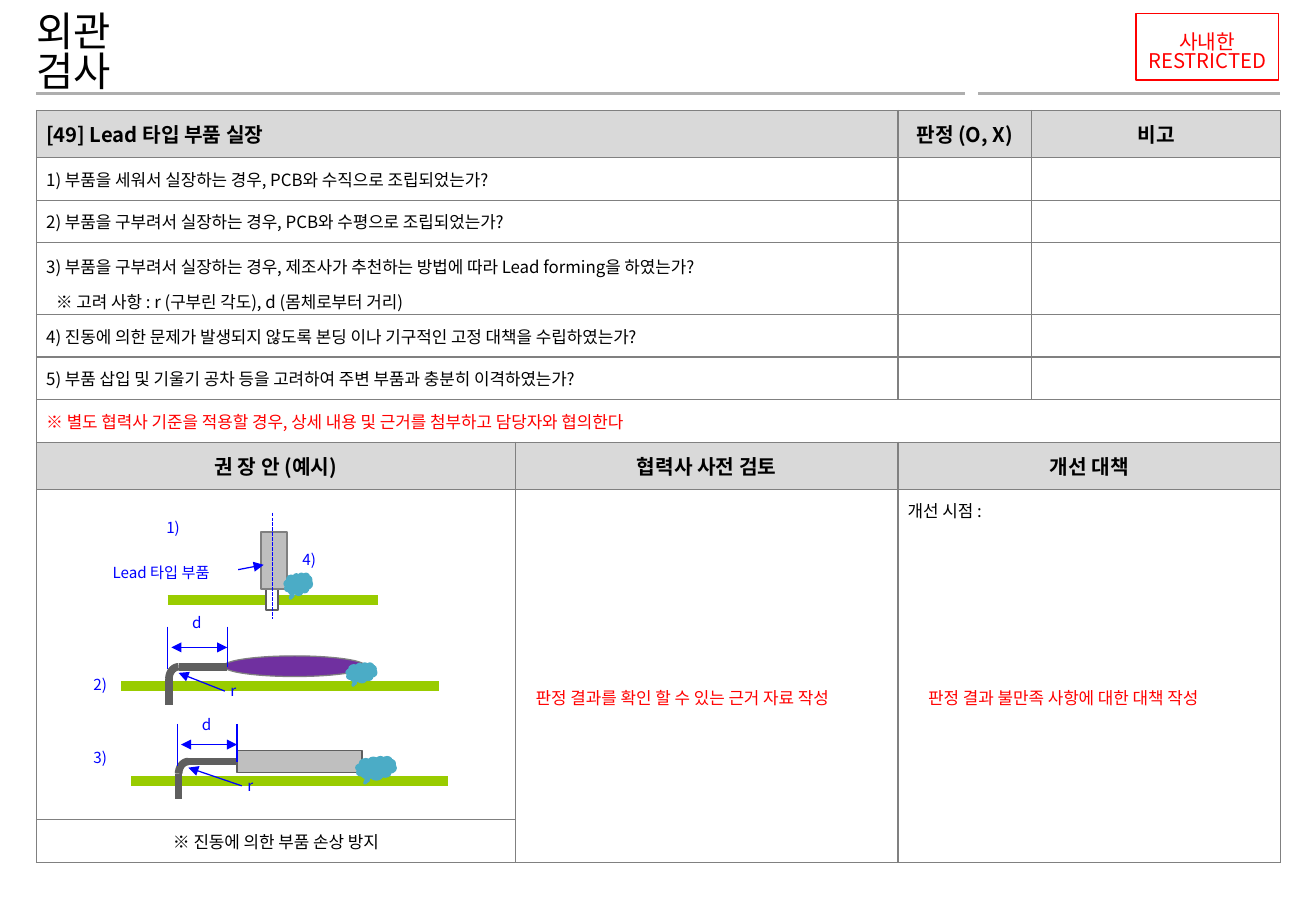
"""Builds the visual inspection checklist slide for lead-type parts."""
import math

from lxml import etree
from pptx import Presentation
from pptx.dml.color import RGBColor
from pptx.enum.dml import MSO_LINE
from pptx.enum.shapes import MSO_CONNECTOR, MSO_SHAPE
from pptx.enum.text import MSO_ANCHOR, PP_ALIGN
from pptx.oxml.ns import qn
from pptx.util import Inches, Pt

FONT = "Noto Sans CJK KR"
LEFT, CENTER = PP_ALIGN.LEFT, PP_ALIGN.CENTER
TOP, MIDDLE = MSO_ANCHOR.TOP, MSO_ANCHOR.MIDDLE
RECT, OVAL, CLOUD = MSO_SHAPE.RECTANGLE, MSO_SHAPE.OVAL, MSO_SHAPE.CLOUD_CALLOUT
STRAIGHT, DASH = MSO_CONNECTOR.STRAIGHT, MSO_LINE.SQUARE_DOT
C = {"black": "000000", "white": "FFFFFF", "red": "FF0000", "blue": "0000FF",
     "head": "D9D9D9", "border": "808080", "rule": "AEAEAE", "part": "BFBFBF",
     "lead": "5F5F5F", "pcb": "99CC00", "purple": "7030A0", "bond": "4BACC6"}

COLS = [3.94, 3.15, 1.1, 2.05]
ROWS = [0.39, 0.35, 0.35, 0.59, 0.35, 0.35, 0.35, 0.39, 2.72, 0.35]
MERGES = [((r, 0), (r, 1)) for r in range(6)] + [
    ((6, 0), (6, 3)), ((7, 2), (7, 3)), ((8, 1), (9, 1)), ((8, 2), (9, 3))]
HEADINGS = {(0, 0): "[49] Lead 타입 부품 실장", (0, 2): "판정 (O, X)", (0, 3): "비고",
            (7, 0): "권 장 안 (예시)", (7, 1): "협력사 사전 검토", (7, 2): "개선 대책"}
CHECKS = {
    1: "1) 부품을 세워서 실장하는 경우, PCB와 수직으로 조립되었는가?",
    2: "2) 부품을 구부려서 실장하는 경우, PCB와 수평으로 조립되었는가?",
    3: "3) 부품을 구부려서 실장하는 경우, 제조사가 추천하는 방법에 따라 Lead forming을 하였는가?\n"
       "※ 고려 사항 : r (구부린 각도), d (몸체로부터 거리)",
    4: "4) 진동에 의한 문제가 발생되지 않도록 본딩 이나 기구적인 고정 대책을 수립하였는가?",
    5: "5) 부품 삽입 및 기울기 공차 등을 고려하여 주변 부품과 충분히 이격하였는가?"}


def rgb(name):
    """Return the named colour."""
    return RGBColor.from_string(C[name])


def write(tf, text, size=10, color="black", bold=False, align=LEFT,
          spacing=None, before=0, indent=0):
    """Write one paragraph per line of text."""
    for i, line in enumerate(text.split("\n")):
        p = tf.add_paragraph() if i else tf.paragraphs[0]
        p.alignment = align
        if spacing:
            p.line_spacing = spacing
        if i:
            p.space_before = Pt(before)
            p._p.get_or_add_pPr().set("marL", str(Inches(indent)))
        r = p.add_run()
        r.text = line
        r.font.size, r.font.bold, r.font.name = Pt(size), bold, FONT
        r.font.color.rgb = rgb(color)
        ea = etree.SubElement(r._r.get_or_add_rPr(), qn("a:ea"))
        ea.set("typeface", FONT)


def frame(tf, insets=(0.1, 0.05, 0.1, 0.05), anchor=TOP, wrap=True):
    """Set the insets, anchor and wrapping of a text frame."""
    tf.margin_left, tf.margin_top, tf.margin_right, tf.margin_bottom = map(Inches, insets)
    tf.vertical_anchor, tf.word_wrap = anchor, wrap


def label(s, text, x, y, w, h, insets=(0.1, 0.05, 0.1, 0.05), wrap=True, **fmt):
    """Add a text box."""
    tf = s.shapes.add_textbox(*map(Inches, (x, y, w, h))).text_frame
    frame(tf, insets, wrap=wrap)
    write(tf, text, **fmt)


def mark(s, text, x, y, w=0.4):
    """Add a small centred blue label to the drawing."""
    label(s, text, x, y, w, 0.21, (0.06, 0.03, 0.06, 0.03),
          size=9, color="blue", align=CENTER)


def shape(s, kind, x, y, w, h, fill=None, line="border", width=1):
    """Add a flat preset shape."""
    sp = s.shapes.add_shape(kind, *map(Inches, (x, y, w, h)))
    sp.shadow.inherit = False
    if fill:
        sp.fill.solid()
        sp.fill.fore_color.rgb = rgb(fill)
    else:
        sp.fill.background()
    sp.line.color.rgb, sp.line.width = rgb(line), Pt(width)
    return sp


def bond(s, x, y, w, h):
    """Add a blob of bonding material."""
    sp = shape(s, CLOUD, x, y, w, h, "bond", "bond")
    sp.adjustments[0], sp.adjustments[1] = -0.28, 0.64


def line(s, x1, y1, x2, y2, color="blue", width=0.75, heads=(), dash=None):
    """Add a straight line with optional arrowheads."""
    cn = s.shapes.add_connector(STRAIGHT, *map(Inches, (x1, y1, x2, y2)))
    cn.line.color.rgb, cn.line.width = rgb(color), Pt(width)
    if dash:
        cn.line.dash_style = dash
    for end in heads:
        etree.SubElement(cn.line._get_or_add_ln(), qn(f"a:{end}")).set("type", "triangle")
    etree.SubElement(cn._element.spPr, qn("a:effectLst"))
    return cn


def bend(s, x, y, w, h):
    """Draw the quarter bend of a lead."""
    angles = [math.radians(a) for a in range(0, 91, 10)]
    points = [(Inches(x + w - w * math.sin(a)), Inches(y + h - h * math.cos(a)))
              for a in reversed(angles)]
    points = points[::-1]
    fb = s.shapes.build_freeform(*points[0])
    fb.add_line_segments(points[1:], close=False)
    sp = fb.convert_to_shape()
    sp.shadow.inherit = False
    sp.fill.background()
    sp.line.color.rgb, sp.line.width = rgb("lead"), Pt(4.5)


def bent_part(s, body, x, y, dim_y, d_y, r_x, glued=False):
    """Draw board, bent lead and dimensions d and r for a part body."""
    line(s, x - 0.39, y + 0.16, x + 2.22, y + 0.16, "pcb", 6)
    lead = line(s, x + 0.48, y, x + 0.08, y, "lead", 4.5)
    line(s, x, y + 0.1, x, y + 0.31, "lead", 4.5)
    bend(s, x, y, 0.08, 0.1)
    line(s, x - 0.01, dim_y, x - 0.01, dim_y + 0.35)
    edge = line(s, x + 0.48, dim_y, x + 0.48, y)
    if glued:
        lead.begin_connect(body, 1)
        edge.end_connect(body, 1)
    line(s, x + 0.02, dim_y + 0.17, x + 0.48, dim_y + 0.17, heads=("headEnd", "tailEnd"))
    mark(s, "d", x + 0.03, d_y)
    line(s, r_x + 0.13, y + 0.2, x + 0.08, y + 0.05, heads=("tailEnd",))
    mark(s, "r", r_x, y + 0.09)


def upright_part(s):
    """Draw the part that stands upright on its board."""
    line(s, 1.38, 4.94, 3.11, 4.94, "pcb", 6)
    shape(s, RECT, 2.19, 4.84, 0.1, 0.18, "white", "lead")
    shape(s, RECT, 2.15, 4.38, 0.21, 0.47, "part")
    mark(s, "Lead 타입 부품", 0.68, 4.61, 1.29)
    line(s, 1.96, 4.69, 2.17, 4.65, heads=("tailEnd",))
    line(s, 2.24, 4.22, 2.24, 5.1, dash=DASH)
    bond(s, 2.34, 4.72, 0.23, 0.18)


def style_cell(cell, fill=None):
    """Set borders, margins, fill and empty-text size of a cell."""
    tcPr = cell._tc.get_or_add_tcPr()
    for side in ("lnL", "lnR", "lnT", "lnB"):
        ln = etree.SubElement(tcPr, qn(f"a:{side}"), w=str(Pt(0.75)))
        solid = etree.SubElement(ln, qn("a:solidFill"))
        etree.SubElement(solid, qn("a:srgbClr"), val=C["border"])
    if fill:
        cell.fill.solid()
        cell.fill.fore_color.rgb = rgb(fill)
    else:
        cell.fill.background()
    cell.margin_left = cell.margin_right = Inches(0.08)
    cell.margin_top = cell.margin_bottom = Inches(0.07)
    cell.vertical_anchor = MIDDLE
    etree.SubElement(cell.text_frame.paragraphs[0]._p, qn("a:endParaRPr"), sz="1000")


def checklist(s):
    """Add the checklist table."""
    table = s.shapes.add_table(len(ROWS), len(COLS), *map(
        Inches, (0.3, 0.91, sum(COLS), sum(ROWS)))).table
    for col, w in zip(table.columns, COLS):
        col.width = Inches(w)
    for r, h in enumerate(ROWS):
        table.rows[r].height = Inches(h)
        for c in range(len(COLS)):
            style_cell(table.cell(r, c), "head" if r in (0, 7) else None)
    for start, end in MERGES:
        table.cell(*start).merge(table.cell(*end))
    for pos, text in HEADINGS.items():
        write(table.cell(*pos).text_frame, text, size=12, bold=True,
              align=LEFT if pos == (0, 0) else CENTER)
    for r, text in CHECKS.items():
        write(table.cell(r, 0).text_frame, text, before=6, indent=0.08)
    forming = table.cell(3, 0)
    forming.margin_top, forming.margin_bottom = Inches(0.08), Inches(0)
    write(table.cell(6, 0).text_frame,
          "※ 별도 협력사 기준을 적용할 경우, 상세 내용 및 근거를 첨부하고 담당자와 협의한다", color="red")
    write(table.cell(8, 2).text_frame, "개선 시점 :")
    table.cell(8, 2).vertical_anchor = TOP
    write(table.cell(9, 0).text_frame, "※ 진동에 의한 부품 손상 방지", align=CENTER)


def main():
    """Build and save the slide."""
    prs = Presentation()
    prs.slide_width, prs.slide_height = Inches(10.83), Inches(7.5)
    s = prs.slides.add_slide(prs.slide_layouts[5])
    title = s.shapes.title
    title.left, title.top, title.width, title.height = map(Inches, (0.3, 0.25, 1.2, 0.4))
    frame(title.text_frame, (0, 0, 0, 0), MIDDLE)
    write(title.text_frame, "외관 검사", size=24, spacing=0.82)
    for x1, x2 in ((0.3, 7.94), (8.05, 10.53)):
        line(s, x1, 0.77, x2, 0.77, "rule", 2)
    stamp = shape(s, RECT, 9.35, 0.11, 1.17, 0.55, line="red", width=0.75)
    frame(stamp.text_frame, (0.09, 0.11, 0.09, 0), MIDDLE, wrap=False)
    write(stamp.text_frame, "사내한\nRESTRICTED", size=12, color="red",
          align=CENTER, spacing=0.78)
    checklist(s)
    label(s, "판정 결과를 확인 할 수 있는 근거 자료 작성", 4.31, 5.61, 2.99, 0.27, color="red")
    label(s, "판정 결과 불만족 사항에 대한 대책 작성", 7.54, 5.61, 2.83, 0.27, color="red")
    upright_part(s)
    oval = shape(s, OVAL, 1.84, 5.4, 1.17, 0.17, "purple", width=0.75)
    bent_part(s, oval, 1.39, 5.49, dim_y=5.16, d_y=5.02, r_x=1.72)
    block = shape(s, RECT, 1.95, 6.18, 1.03, 0.18, "part", "lead")
    bent_part(s, block, 1.47, 6.27, dim_y=5.96, d_y=5.86, r_x=1.86, glued=True)
    bond(s, 2.85, 5.46, 0.25, 0.16)
    bond(s, 2.93, 6.23, 0.33, 0.19)
    for text, x, y in (("1)", 1.27, 4.22), ("2)", 0.67, 5.51),
                       ("3)", 0.67, 6.11), ("4)", 2.39, 4.48)):
        label(s, text, x, y, 0.32, 0.25, wrap=False, size=9, color="blue")
    prs.save("out.pptx")


if __name__ == "__main__":
    main()
